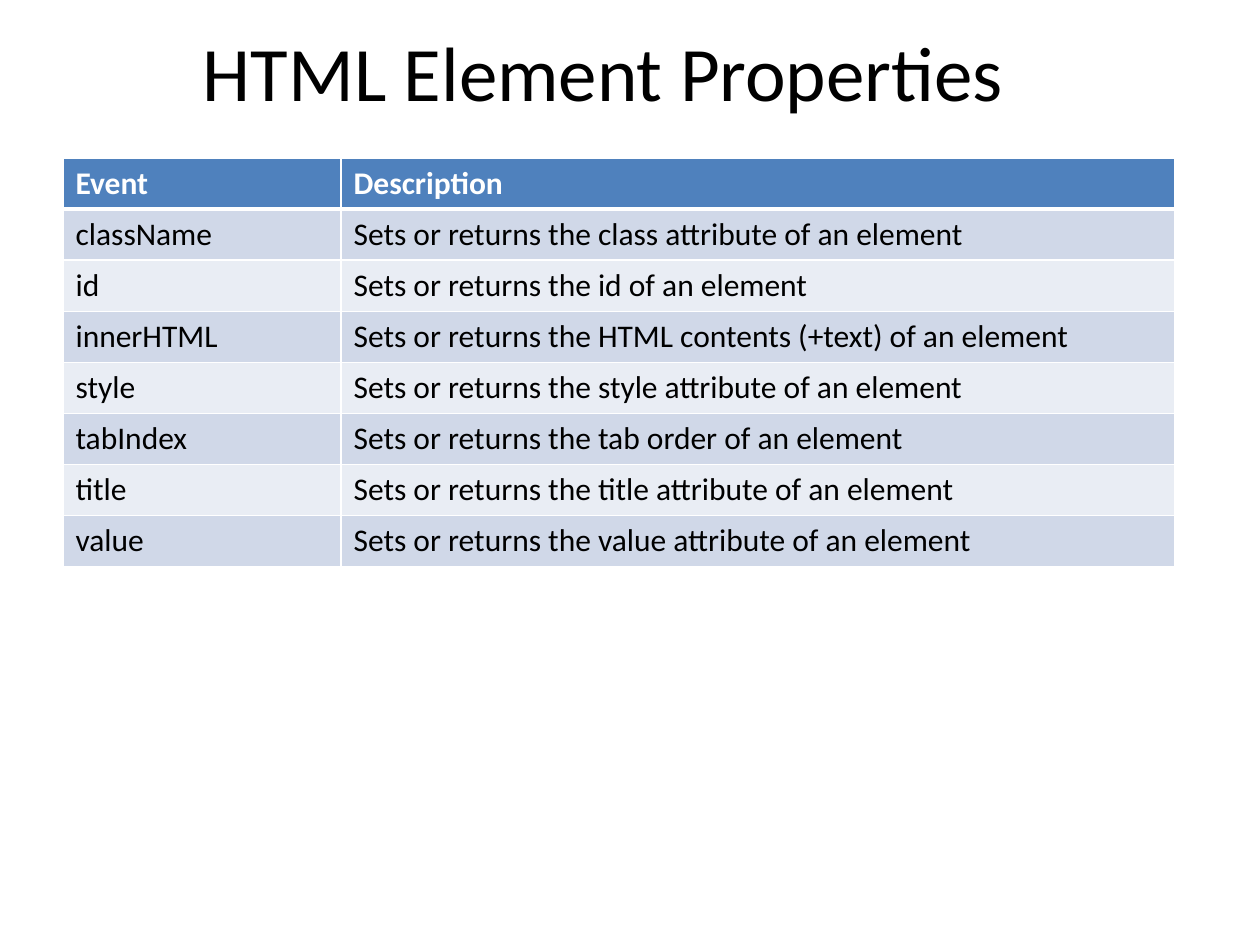
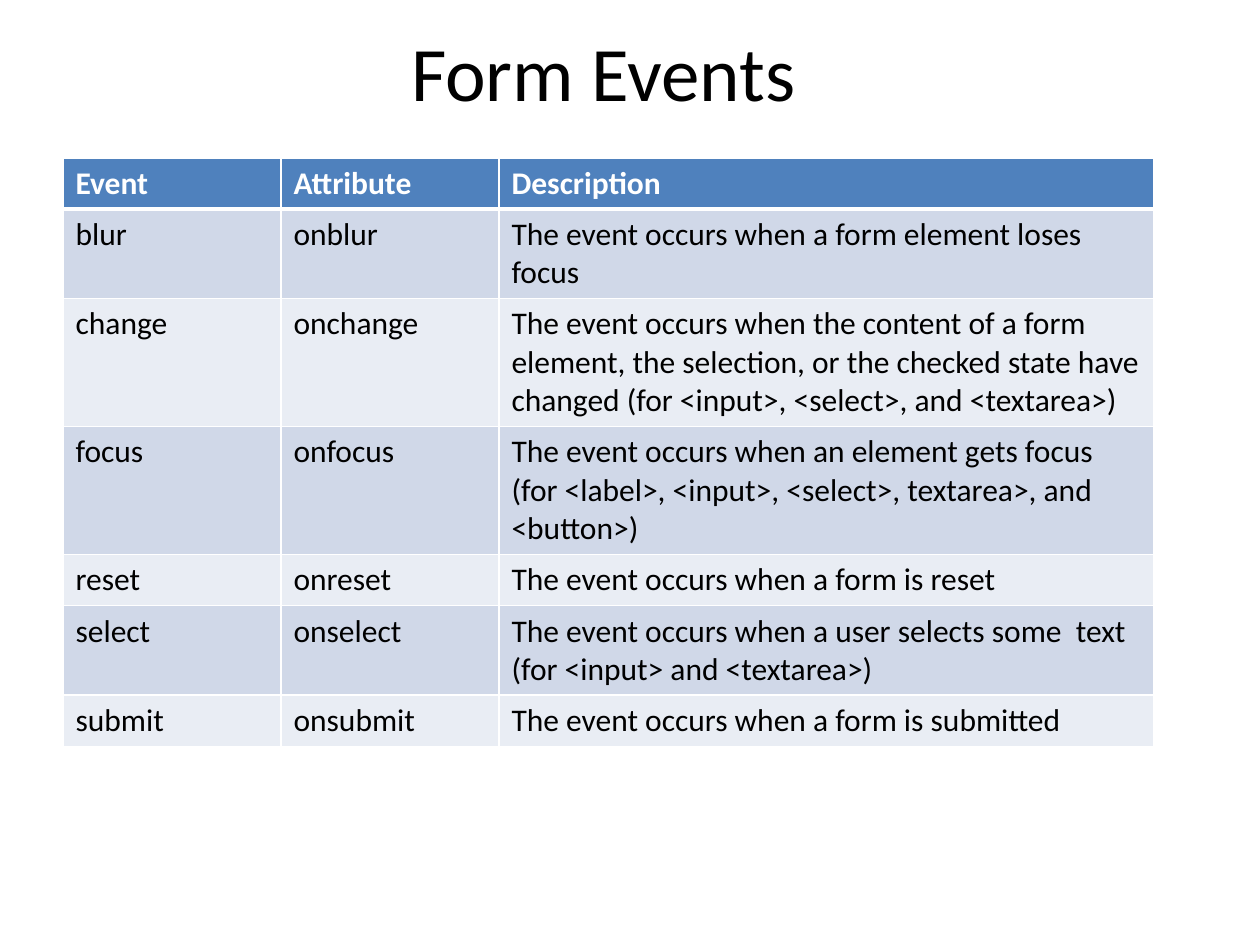
from lxml import etree
from pptx import Presentation
from pptx import util as u
from pptx.dml import color
from pptx.enum import text
from pptx.oxml import ns

EMU_PER_PX = 914400 / 126
SLIDE_SIZE = (1260, 945)
TITLE_BOX = (0, 15, 1207, 111)
TABLE_LEFT, TABLE_TOP, ROW_HEIGHT = 63, 158, 51
FONT = "Calibri"
BLACK, WHITE = "000000", "FFFFFF"
HEADER_FILL = "4F81BD"
BAND_FILLS = ("E9EDF4", "D0D8E8")

PROPERTY_COLUMNS = (278, 834)
PROPERTY_ROWS = [
    ("Event", "Description"),
    ("className", "Sets or returns the class attribute of an element"),
    ("id", "Sets or returns the id of an element"),
    ("innerHTML", "Sets or returns the HTML contents (+text) of an element"),
    ("style", "Sets or returns the style attribute of an element"),
    ("tabIndex", "Sets or returns the tab order of an element"),
    ("title", "Sets or returns the title attribute of an element"),
    ("value", "Sets or returns the value attribute of an element"),
]

FORM_COLUMNS = (218, 218, 655)
FORM_ROWS = [
    ("Event", "Attribute", "Description"),
    ("blur", "onblur", "The event occurs when a form element loses focus"),
    ("change", "onchange",
     "The event occurs when the content of a form element, the selection, "
     "or the checked state have changed (for <input>, <select>, and <textarea>)"),
    ("focus", "onfocus",
     "The event occurs when an element gets focus "
     "(for <label>, <input>, <select>, textarea>, and <button>)"),
    ("reset", "onreset", "The event occurs when a form is reset"),
    ("select", "onselect",
     "The event occurs when a user selects some  text (for <input> and <textarea>)"),
    ("submit", "onsubmit", "The event occurs when a form is submitted"),
]


def px(length):
    return u.Emu(round(length * EMU_PER_PX))


def rgb(value):
    return color.RGBColor.from_string(value)


def write_text(frame, content, size=18, fill=BLACK, bold=False,
               align=text.PP_ALIGN.LEFT):
    paragraph = frame.paragraphs[0]
    paragraph.alignment = align
    run = paragraph.add_run()
    run.text = content
    run.font.name = FONT
    run.font.size = u.Pt(size)
    run.font.bold = bold
    run.font.color.rgb = rgb(fill)


def add_borders(cell, top, bottom):
    properties = cell._tc.get_or_add_tcPr()
    for side, width in (("L", 1), ("R", 1), ("T", top), ("B", bottom)):
        line = etree.SubElement(properties, ns.qn(f"a:ln{side}"), w=str(u.Pt(width)))
        solid = etree.SubElement(line, ns.qn("a:solidFill"))
        etree.SubElement(solid, ns.qn("a:srgbClr"), val=WHITE)


class Deck:
    def __init__(self):
        self.presentation = Presentation()
        self.presentation.slide_width, self.presentation.slide_height = map(px, SLIDE_SIZE)
        self.slide = None

    def add_slide(self, title):
        self.slide = self.presentation.slides.add_slide(self.presentation.slide_layouts[5])
        shape = self.slide.shapes.title
        shape.left, shape.top, shape.width, shape.height = map(px, TITLE_BOX)
        frame = shape.text_frame
        frame.word_wrap = True
        frame.auto_size = text.MSO_AUTO_SIZE.NONE
        frame.vertical_anchor = text.MSO_ANCHOR.MIDDLE
        write_text(frame, title, size=44, align=text.PP_ALIGN.CENTER)

    def add_table(self, column_widths, rows):
        table = self.slide.shapes.add_table(
            len(rows), len(column_widths), px(TABLE_LEFT), px(TABLE_TOP),
            px(sum(column_widths)), px(ROW_HEIGHT * len(rows))).table
        for column, width in zip(table.columns, column_widths):
            column.width = px(width)
        for row_index, row in enumerate(rows):
            header = row_index == 0
            for column_index, content in enumerate(row):
                cell = table.cell(row_index, column_index)
                add_borders(cell, top=3 if row_index == 1 else 1, bottom=3 if header else 1)
                cell.fill.solid()
                cell.fill.fore_color.rgb = rgb(
                    HEADER_FILL if header else BAND_FILLS[row_index % 2])
                write_text(cell.text_frame, content,
                           fill=WHITE if header else BLACK, bold=header)


def main():
    deck = Deck()
    deck.add_slide("HTML Element Properties")
    deck.add_table(PROPERTY_COLUMNS, PROPERTY_ROWS)
    deck.add_slide("Form Events")
    deck.add_table(FORM_COLUMNS, FORM_ROWS)
    deck.presentation.save("out.pptx")


if __name__ == "__main__":
    main()
